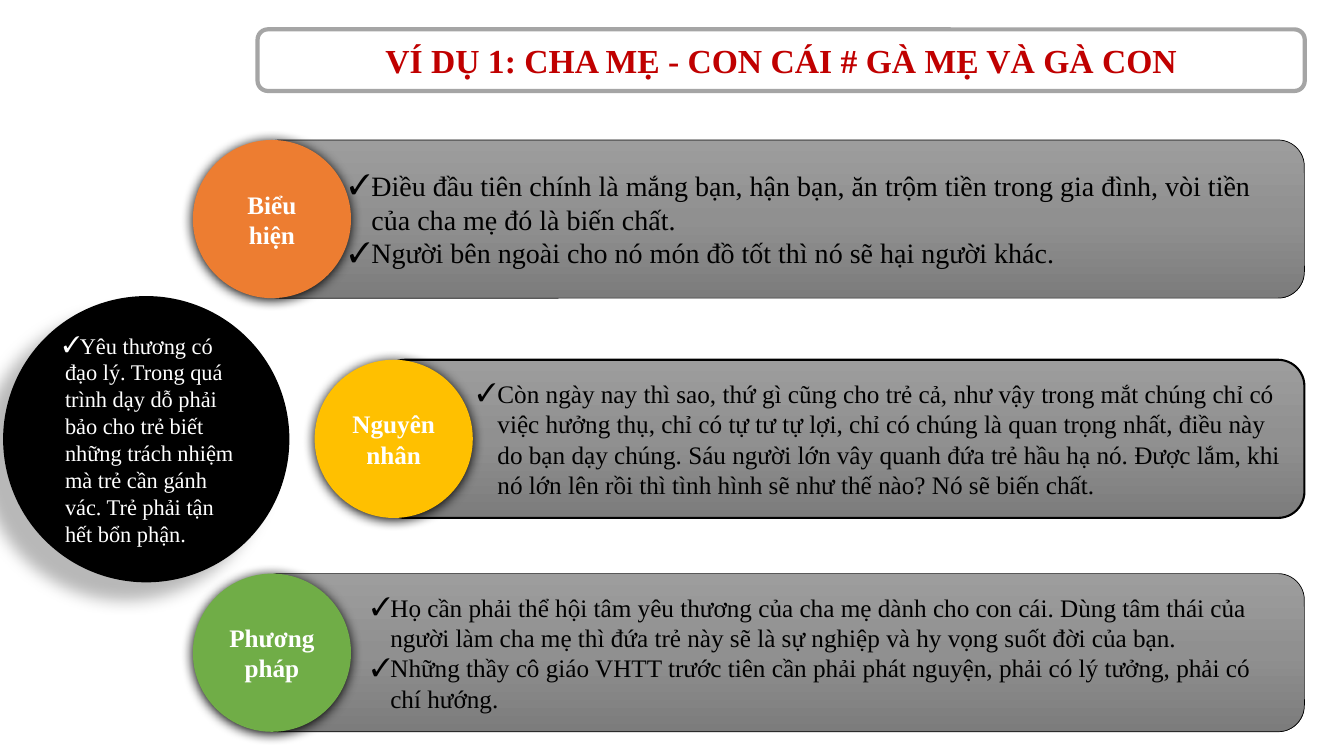
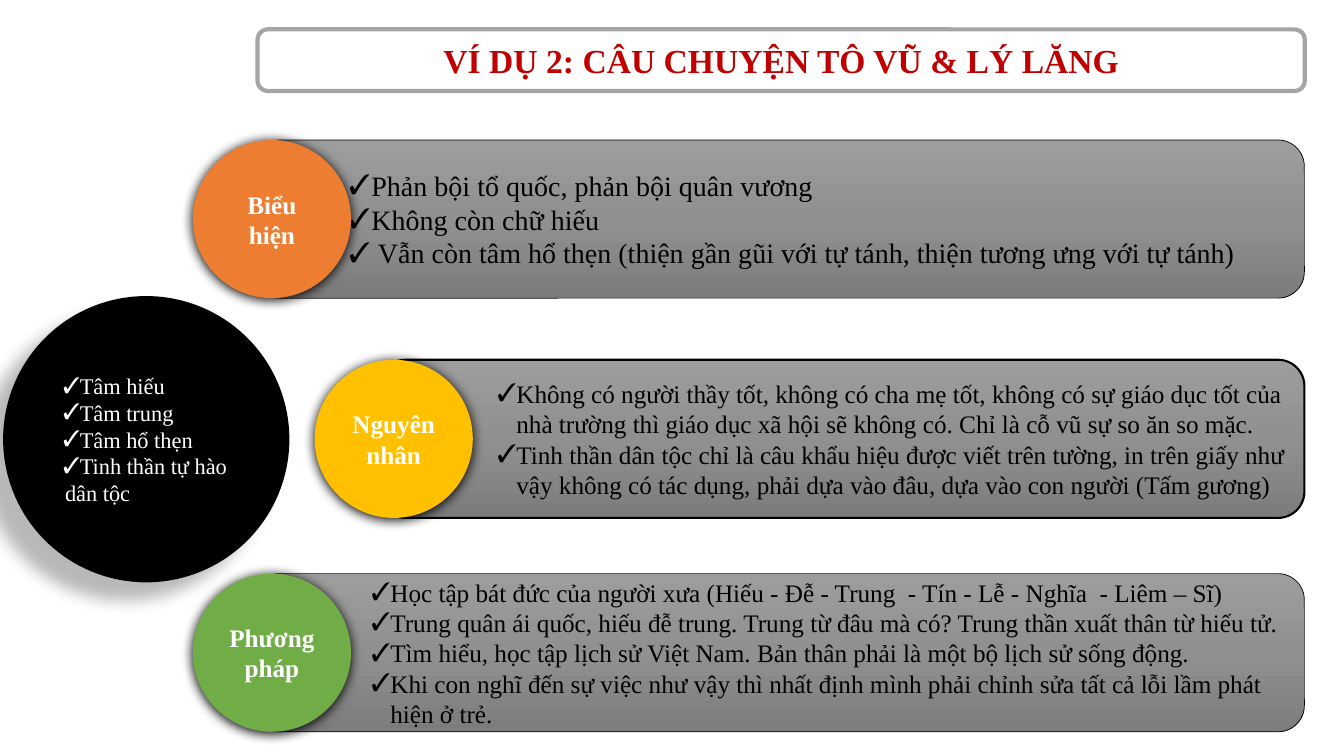
from copy import deepcopy

from lxml.etree import SubElement
from pptx import Presentation
from pptx.dml.color import RGBColor
from pptx.enum.shapes import MSO_SHAPE
from pptx.enum.text import MSO_ANCHOR, PP_ALIGN
from pptx.oxml.ns import qn
from pptx.util import Pt

FONT = "Times New Roman"
COLORS = {
    "white": "FFFFFF",
    "black": "000000",
    "title": "C00000",
    "frame": "A5A5A5",
    "orange": "ED7D31",
    "yellow": "FFC000",
    "green": "70AD47",
}
BAR_STOPS = [(0, "9D9D9D"), (0.5, "909090"), (1, "7C7C7C")]
RIGHT = 931.75
BAR_H = 113

SECTIONS = [
    {"label": "Biểu hiện", "color": "orange", "left": 180.75, "top": 100, "line": 0.5},
    {"label": "Nguyên nhân", "color": "yellow", "left": 270.75, "top": 257, "line": 1.5},
    {"label": "Phương pháp", "color": "green", "left": 180.75, "top": 409.75, "line": 0.5},
]
LARGE = {"size": 20, "margin": 72, "indent": -16}
SINGLE = {"size": 18, "margin": 72, "indent": -14.5}
HANGING = {"size": 18, "margin": 85.5, "indent": -13.5}

SLIDES = [
    {
        "title": "VÍ DỤ 1: CHA MẸ - CON CÁI # GÀ MẸ VÀ GÀ CON",
        "core": [
            "Yêu thương có đạo lý. Trong quá trình dạy dỗ phải bảo cho trẻ biết những trách nhiệm mà trẻ cần gánh vác. Trẻ phải tận hết bổn phận.",
        ],
        "bars": [
            (LARGE, [
                "Điều đầu tiên chính là mắng bạn, hận bạn, ăn trộm tiền trong gia đình, vòi tiền của cha mẹ đó là biến chất.",
                "Người bên ngoài cho nó món đồ tốt thì nó sẽ hại người khác.",
            ]),
            (SINGLE, [
                "Còn ngày nay thì sao, thứ gì cũng cho trẻ cả, như vậy trong mắt chúng chỉ có việc hưởng thụ, chỉ có tự tư tự lợi, chỉ có chúng là quan trọng nhất, điều này do bạn dạy chúng. Sáu người lớn vây quanh đứa trẻ hầu hạ nó. Được lắm, khi nó lớn lên rồi thì tình hình sẽ như thế nào? Nó sẽ biến chất.",
            ]),
            (HANGING, [
                "Họ cần phải thể hội tâm yêu thương của cha mẹ dành cho con cái. Dùng tâm thái của người làm cha mẹ thì đứa trẻ này sẽ là sự nghiệp và hy vọng suốt đời của bạn.",
                "Những thầy cô giáo VHTT trước tiên cần phải phát nguyện, phải có lý tưởng, phải có chí hướng.",
            ]),
        ],
    },
    {
        "title": "VÍ DỤ 2: CÂU CHUYỆN TÔ VŨ & LÝ LĂNG",
        "core": ["Tâm hiếu", "Tâm trung", "Tâm hổ thẹn", "Tinh thần tự hào dân tộc"],
        "bars": [
            (LARGE, [
                "Phản bội tổ quốc, phản bội quân vương",
                "Không còn chữ hiếu",
                " Vẫn còn tâm hổ thẹn (thiện gần gũi với tự tánh, thiện tương ưng với tự tánh)",
            ]),
            (HANGING, [
                "Không có người thầy tốt, không có cha mẹ tốt, không có sự giáo dục tốt của nhà trường thì giáo dục xã hội sẽ không có. Chỉ là cỗ vũ sự so ăn so mặc.",
                "Tinh thần dân tộc chỉ là câu khẩu hiệu được viết trên tường, in trên giấy như vậy không có tác dụng, phải dựa vào đâu, dựa vào con người (Tấm gương)",
            ]),
            (HANGING, [
                "Học tập bát đức của người xưa (Hiếu - Đễ - Trung  - Tín - Lễ - Nghĩa  - Liêm – Sĩ)",
                "Trung quân ái quốc, hiếu đễ trung. Trung từ đâu mà có? Trung thần xuất thân từ hiếu tử.",
                "Tìm hiểu, học tập lịch sử Việt Nam. Bản thân phải là một bộ lịch sử sống động.",
                "Khi con nghĩ đến sự việc như vậy thì nhất định mình phải chỉnh sửa tất cả lỗi lầm phát hiện ở trẻ.",
            ]),
        ],
    },
]


def rgb(name):
    return RGBColor.from_string(COLORS.get(name, name))


def add_bullet(p, margin, indent):
    pPr = p._p.get_or_add_pPr()
    pPr.set("marL", str(Pt(margin)))
    pPr.set("indent", str(Pt(indent)))
    SubElement(pPr, qn("a:buFont")).set("typeface", FONT)
    SubElement(pPr, qn("a:buChar")).set("char", "✓")


def write(sp, texts, size=18, color="black", bold=False, align=PP_ALIGN.LEFT,
          margin=None, indent=0):
    tf = sp.text_frame
    tf.word_wrap = True
    tf.vertical_anchor = MSO_ANCHOR.MIDDLE
    for i, text in enumerate(texts):
        p = tf.add_paragraph() if i else tf.paragraphs[0]
        p.alignment = align
        if margin is not None:
            add_bullet(p, margin, indent)
        r = p.add_run()
        r.text = text
        r.font.name = FONT
        r.font.size = Pt(size)
        r.font.bold = bold
        r.font.color.rgb = rgb(color)


def add_box(s, kind, box, fill=None, line=None, width=1):
    sp = s.shapes.add_shape(kind, *map(Pt, box))
    sp.shadow.inherit = False
    if fill:
        sp.fill.solid()
        sp.fill.fore_color.rgb = rgb(fill)
    if line:
        sp.line.color.rgb = rgb(line)
        sp.line.width = Pt(width)
    else:
        sp.line.fill.background()
    return sp


def add_shadow(sp, blur, dist, angle, alpha):
    effects = sp._element.spPr.find(qn("a:effectLst"))
    shadow = SubElement(effects, qn("a:outerShdw"), blurRad=str(Pt(blur)),
                        dist=str(Pt(dist)), dir=str(angle * 60000),
                        algn="ctr", rotWithShape="0")
    clr = SubElement(shadow, qn("a:srgbClr"), val=COLORS["black"])
    SubElement(clr, qn("a:alpha"), val=str(alpha * 1000))


def fill_gradient(sp):
    sp.fill.gradient()
    sp.fill.gradient_angle = 270
    stops = sp._element.spPr.find(".//" + qn("a:gsLst"))
    stops.append(deepcopy(stops[-1]))
    for stop, (position, color) in zip(sp.fill.gradient_stops, BAR_STOPS):
        stop.position = position
        stop.color.rgb = rgb(color)


def add_title(s, text, box):
    add_box(s, MSO_SHAPE.ROUNDED_RECTANGLE, box, "white", "frame", 3)
    title = s.shapes.title
    title.left, title.top, title.width, title.height = map(Pt, box)
    write(title, [text], size=24, color="title", bold=True, align=PP_ALIGN.CENTER)
    s.shapes._spTree.append(title._element)


def add_section(s, section, style, texts):
    left, top = section["left"], section["top"]
    bar = add_box(s, MSO_SHAPE.ROUNDED_RECTANGLE, (left, top, RIGHT - left, BAR_H),
                  line="black", width=section["line"])
    fill_gradient(bar)
    write(bar, texts, **style)
    badge = add_box(s, MSO_SHAPE.OVAL, (left - 43 if left < 200 else left - 46, top, BAR_H, BAR_H),
                    section["color"])
    add_shadow(badge, 8.5, 1, 90, 100)
    write(badge, [section["label"]], color="white", bold=True, align=PP_ALIGN.CENTER)


def add_core(s, texts, box):
    core = add_box(s, MSO_SHAPE.OVAL, box, "black")
    add_shadow(core, 11.8, 19.7, 141, 28)
    write(core, texts, size=16, color="white", margin=7.2, indent=-1.4)


def add_example(prs, content):
    s = prs.slides.add_slide(prs.slide_layouts[5])
    add_core(s, content["core"], (2.25, 211.5, 204.5, 204.5))
    for section, (style, texts) in zip(SECTIONS, content["bars"]):
        add_section(s, section, style, texts)
    add_title(s, content["title"], (184, 21, 748, 44))


def main():
    prs = Presentation()
    prs.slide_width, prs.slide_height = Pt(960), Pt(540)
    for content in SLIDES:
        add_example(prs, content)
    prs.save("out.pptx")


if __name__ == "__main__":
    main()
